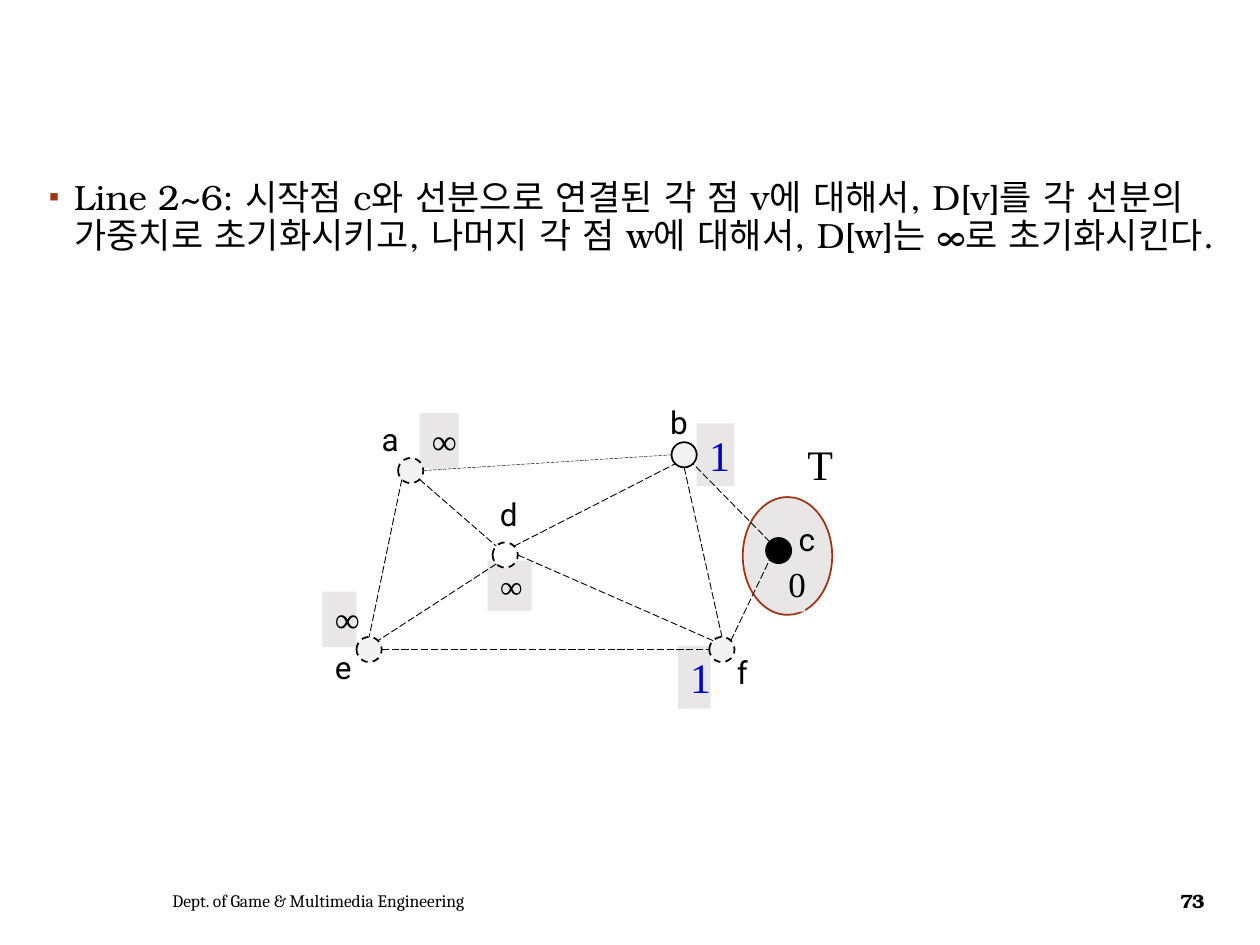
from dataclasses import dataclass
from math import cos, radians, sin

from lxml.etree import SubElement
from pptx import Presentation
from pptx.dml.color import RGBColor as RGB
from pptx.enum.dml import MSO_LINE
from pptx.enum.shapes import MSO_CONNECTOR, MSO_SHAPE
from pptx.enum.text import MSO_ANCHOR, MSO_AUTO_SIZE, PP_ALIGN
from pptx.oxml.ns import qn
from pptx.util import Inches, Pt


@dataclass(frozen=True)
class Theme:
    black: str = "000000"
    white: str = "FFFFFF"
    node: str = "F2F2F2"
    panel: str = "E9E6E7"
    accent: str = "9C3511"
    bullet: str = "9E3611"
    value: str = "0000CC"
    body_font: str = "TeX Gyre Bonum"
    label_font: str = "Roboto"
    value_font: str = "Times New Roman"
    footer_font: str = "Cambria"
    large: int = 24
    body: int = 20
    label: int = 18
    number: int = 11
    footer: int = 10


T = Theme()
COLS, ROWS = 100, 75
CELL = Inches(10) // COLS
RADIUS = 1  # of a node, in columns

# name: centre column and row, fill, dashed outline, label box
NODES = {
    "a": (32.6, 37.35, T.node, True, (29.3, 32.85, 3.4, 4)),
    "b": (54.3, 36.1, T.node, False, (52.2, 31.5, 3.4, 4)),
    "d": (40.1, 44.05, T.white, True, (38.7, 38.8, 3.4, 4)),
    "e": (29.3, 51.55, T.node, True, (25.6, 50.9, 3.4, 4)),
    "c": (61.8, 43.7, T.black, False, (62.4, 40.8, 3.2, 4)),
    "f": (57.3, 51.55, T.node, True, (57.5, 51.3, 2.8, 4)),
}
# node and compass side at each end
EDGES = ["a SE d NW", "d SW e NE", "a SW e N", "d E f NW", "e E f W",
         "a E b W", "d NE b SW", "c NW b SE", "f NE c SW", "b S f N"]
THIN_EDGE = "a E b W"
COMPASS = ["E", "SE", "S", "SW", "W", "NW", "N", "NE"]

# distance, box, type size, colour
DISTANCES = [
    ("∞", (33.3, 32.8, 3.1, 4.4), T.body, T.black),
    ("1", (55.3, 33.6, 3, 5), T.large, T.value),
    ("0", (61.6, 44.15, 2.3, 4.4), T.body, T.black),
    ("1", (53.8, 51.25, 2.6, 5), T.large, T.value),
    ("∞", (38.7, 44.5, 3.5, 4), T.label, T.black),
    ("∞", (25.6, 46.95, 2.7, 4.4), T.body, T.black),
]


def grid(*cells):
    return [round(c * CELL) for c in cells]


def write(sp, text, *, size, font, color=T.black, bold=False, align=PP_ALIGN.LEFT,
          anchor=MSO_ANCHOR.TOP, wrap=True, grow=False, spacing=None, bullet=False,
          east_asian=None):
    tf = sp.text_frame
    tf.word_wrap = wrap
    tf.auto_size = MSO_AUTO_SIZE.SHAPE_TO_FIT_TEXT if grow else MSO_AUTO_SIZE.NONE
    tf.vertical_anchor = anchor
    p = tf.paragraphs[0]
    p.alignment = align
    if bullet:
        p.line_spacing = 0.9
        add_bullet(p)
    r = p.add_run()
    r.text = text
    r.font.name, r.font.size, r.font.bold = font, Pt(size), bold
    r.font.color.rgb = RGB.from_string(color)
    if spacing is not None:
        r.font._element.set("spc", str(round(spacing * 100)))
    if east_asian:
        SubElement(r.font._element, qn("a:ea")).set("typeface", east_asian)


def add_bullet(p):
    pPr = p._p.get_or_add_pPr()
    indent = Inches(0.2)
    pPr.set("marL", str(indent))
    pPr.set("indent", str(-indent))
    SubElement(SubElement(pPr, qn("a:buClr")), qn("a:srgbClr")).set("val", T.bullet)
    SubElement(pPr, qn("a:buSzPct")).set("val", "85000")
    SubElement(pPr, qn("a:buFont")).set("typeface", T.value_font)
    SubElement(pPr, qn("a:buChar")).set("char", "▪")


def add_text(s, box, text, **fmt):
    write(s.shapes.add_textbox(*grid(*box)), text, **fmt)


def add_shape(s, kind, box, fill, line=None, dashed=False):
    sp = s.shapes.add_shape(kind, *grid(*box))
    sp.shadow.inherit = False
    sp.fill.solid()
    sp.fill.fore_color.rgb = RGB.from_string(fill)
    if line:
        sp.line.color.rgb = RGB.from_string(line)
        sp.line.width = Pt(1)
        if dashed:
            sp.line.dash_style = MSO_LINE.DASH
    else:
        sp.line.fill.background()
    return sp


def add_node(s, name):
    x, y, fill, dashed, _ = NODES[name]
    box = (x - RADIUS, y - RADIUS, 2 * RADIUS, 2 * RADIUS)
    add_shape(s, MSO_SHAPE.OVAL, box, fill, T.black, dashed)


def rim(name, side):
    """Point on a node's outline in a compass direction."""
    x, y = NODES[name][:2]
    angle = radians(45 * COMPASS.index(side))
    return grid(x + RADIUS * cos(angle), y + RADIUS * sin(angle))


def add_edge(s, edge):
    start, start_side, end, end_side = edge.split()
    line = s.shapes.add_connector(MSO_CONNECTOR.STRAIGHT,
                                  *rim(start, start_side), *rim(end, end_side))
    line.line.color.rgb = RGB.from_string(T.black)
    line.line.width = Pt(0.25 if edge == THIN_EDGE else 0.5)
    line.line.dash_style = MSO_LINE.LONG_DASH
    SubElement(line._element.spPr, qn("a:effectLst"))


def add_graph(s):
    add_shape(s, MSO_SHAPE.OVAL, (58.95, 39.45, 7.1, 9.35), T.panel, T.accent)
    for text, box, size, color in DISTANCES:
        sp = add_shape(s, MSO_SHAPE.RECTANGLE, box, T.panel)
        write(sp, text, size=size, font=T.value_font, color=color,
              align=PP_ALIGN.CENTER, grow=True)
    for name in NODES:
        add_node(s, name)
    for edge in EDGES:
        add_edge(s, edge)
    for name, (*_, box) in NODES.items():
        add_text(s, box, name, size=T.label, font=T.label_font,
                 wrap=name == "e", grow=True)
    add_text(s, (62.35, 34.35, 5.5, 5), "T", size=T.large, font=T.value_font,
             align=PP_ALIGN.CENTER, grow=True)


def add_footer(s):
    add_text(s, (12.7, 69.5, 45.9, 4), "Dept. of Game & Multimedia Engineering",
             size=T.footer, font=T.footer_font, anchor=MSO_ANCHOR.MIDDLE)
    add_text(s, (92, 69.5, 5.3, 4), "73", size=T.number, font=T.body_font, bold=True,
             align=PP_ALIGN.CENTER, anchor=MSO_ANCHOR.MIDDLE, spacing=-0.7)


def main():
    prs = Presentation()
    prs.slide_width, prs.slide_height = grid(COLS, ROWS)
    s = prs.slides.add_slide(prs.slide_layouts[6])
    add_text(s, (2.9, 13.8, 94.3, 53.7),
             "Line 2~6: 시작점 c와 선분으로 연결된 각 점 v에 대해서, D[v]를 각 선분의 가중치로 "
             "초기화시키고, 나머지 각 점 w에 대해서, D[w]는 ∞로 초기화시킨다.",
             size=T.body, font=T.body_font, bullet=True, east_asian=T.body_font)
    add_graph(s)
    add_footer(s)
    prs.save("out.pptx")


if __name__ == "__main__":
    main()
